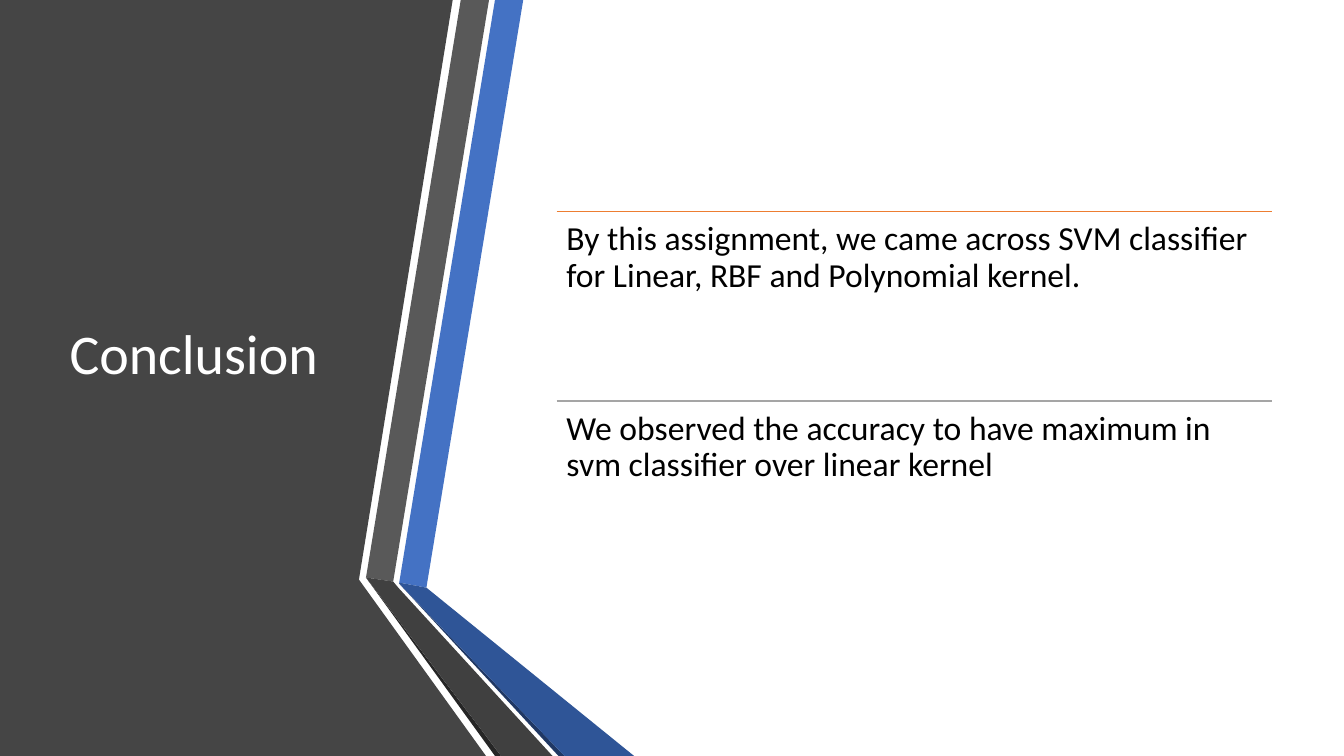
from lxml.etree import SubElement
from pptx import Presentation
from pptx.dml.color import RGBColor
from pptx.enum.shapes import MSO_CONNECTOR
from pptx.enum.text import MSO_ANCHOR, MSO_AUTO_SIZE, PP_ALIGN
from pptx.oxml.ns import qn
from pptx.util import Inches, Pt


def color(text):
    return RGBColor.from_string(text)


def apply(item, values):
    for name, value in values.items():
        setattr(item, name, value)


class Slide:
    """Hold the style and the current slide, and draw each kind of element."""

    face = "Calibri"
    frame = {"word_wrap": True, "auto_size": MSO_AUTO_SIZE.NONE}
    para = {"line_spacing": 0.9, "alignment": PP_ALIGN.LEFT}

    def __init__(self, deck):
        self.page = deck.slides.add_slide(deck.slide_layouts[5])
        self.shapes = self.page.shapes

    def fill_text(self, shape, text, size, ink, **extra):
        frame = shape.text_frame
        frame.text = text
        apply(frame, {**self.frame, **extra})
        para = frame.paragraphs[0]
        apply(para, self.para)
        apply(para.font, {"name": self.face, "size": Pt(size)})
        para.font.color.rgb = color(ink)

    def title(self, text, box):
        shape = self.shapes.title
        sides = ("left", "top", "width", "height")
        apply(shape, dict(zip(sides, map(Inches, box))))
        self.fill_text(shape, text, 40, "FFFFFF",
                       vertical_anchor=MSO_ANCHOR.MIDDLE)
        shape.element.getparent().append(shape.element)

    def text(self, text, box):
        shape = self.shapes.add_textbox(*map(Inches, box))
        pad = Inches(0.1)
        self.fill_text(shape, text, 24, "000000", margin_top=pad,
                       margin_bottom=pad, vertical_anchor=MSO_ANCHOR.TOP)

    def shard(self, fill, points):
        spots = [(Inches(x), Inches(y)) for x, y in points]
        pen = self.shapes.build_freeform(*spots[0], scale=1.0)
        pen.add_line_segments(spots[1:], close=True)
        shape = pen.convert_to_shape()
        shape.shadow.inherit = False
        shape.fill.solid()
        shape.fill.fore_color.rgb = color(fill)
        shape.line.fill.background()

    def rule(self, left, top, width, ink):
        ends = map(Inches, (left, top, left + width, top))
        line = self.shapes.add_connector(MSO_CONNECTOR.STRAIGHT, *ends)
        line.line.color.rgb = color(ink)
        line.line.width = Pt(1)
        SubElement(line.element.spPr, qn("a:effectLst"))


SHARDS = [
    ("454545", [(0, 0), (4.49, 0), (3.56, 5.75), (4.82, 7.5), (0, 7.5)]),
    ("4472C4", [(3.96, 5.78), (4.23, 5.83), (5.19, 0), (4.91, 0)]),
    ("595959", [(4.85, 0), (4.57, 0), (3.63, 5.73), (3.9, 5.77)]),
    ("262626", [(3.63, 5.73), (4.91, 7.5), (4.97, 7.5)]),
    ("203864", [(3.96, 5.79), (5.54, 7.5), (5.6, 7.5)]),
    ("2F5597", [(3.96, 5.79), (5.6, 7.5), (6.29, 7.5), (4.23, 5.83),
                (3.96, 5.78)]),
    ("404040", [(5.48, 7.5), (3.95, 5.83), (3.9, 5.77), (3.63, 5.73),
                (4.97, 7.5)]),
]
POINTS = [
    (2.1, 1.87, "ED7D31", "By this assignment, we came across SVM classifier "
     "for Linear, RBF and Polynomial kernel."),
    (3.98, 1.55, "A5A5A5", "We observed the accuracy to have maximum in "
     "svm classifier over linear kernel"),
]


def main():
    deck = Presentation()
    apply(deck, {"slide_width": Inches(13.33), "slide_height": Inches(7.5)})
    slide = Slide(deck)
    for fill, points in SHARDS:
        slide.shard(fill, points)
    slide.title("Conclusion", (0.59, 0.75, 3.04, 5.58))
    left, width = 5.52, 7.1
    for top, height, ink, text in POINTS:
        slide.rule(left, top, width, ink)
        slide.text(text, (left, top, width, height))
    deck.save("out.pptx")


if __name__ == "__main__":
    main()
